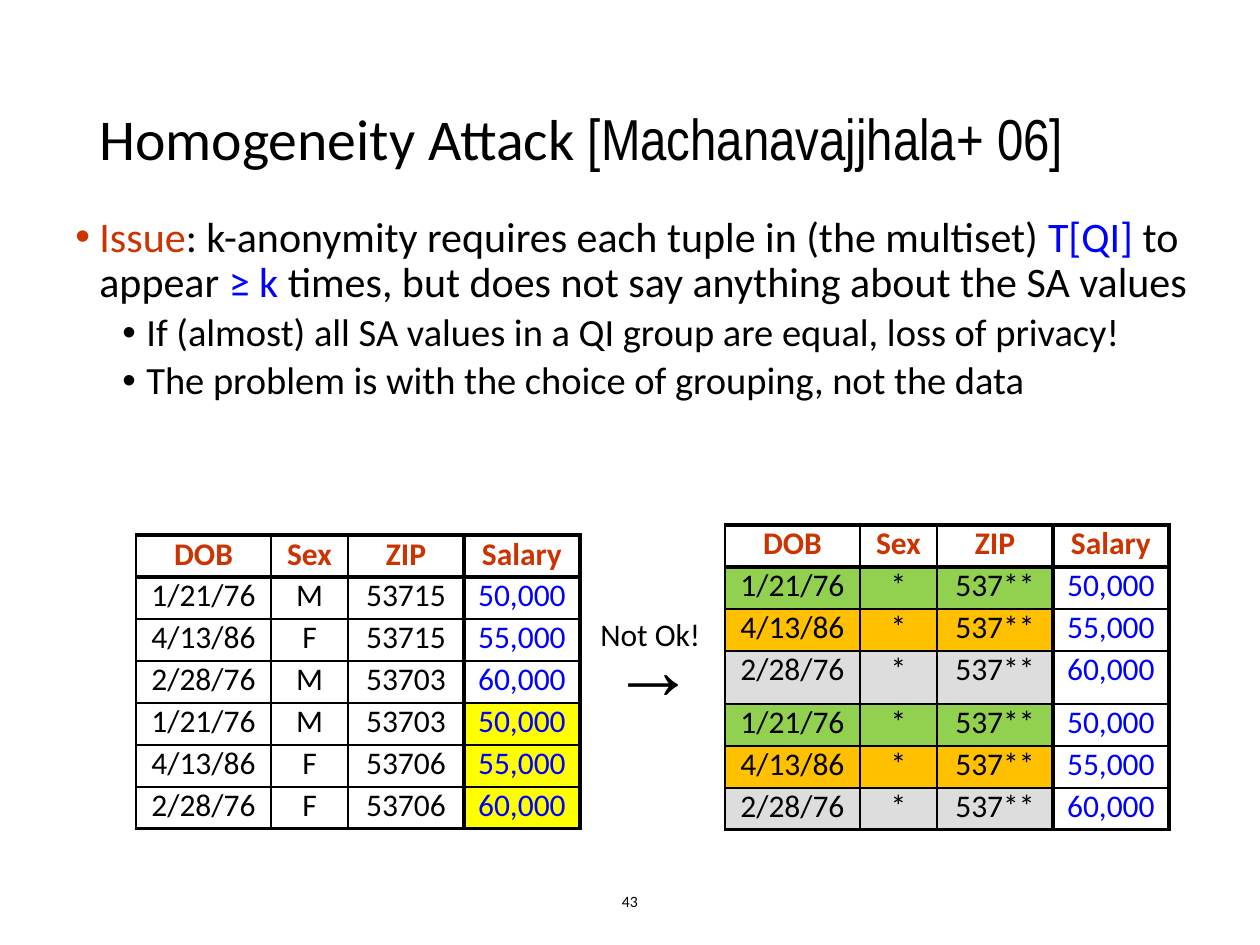
from lxml.etree import SubElement
from pptx import Presentation
from pptx.dml.color import RGBColor
from pptx.enum.text import MSO_ANCHOR as ANCHOR, MSO_AUTO_SIZE as AUTO, PP_ALIGN as ALIGN
from pptx.oxml.ns import qn
from pptx.util import Emu, Pt

C = {"black": "000000", "red": "CC3300", "blue": "0000FF", "yellow": "FFFF00",
     "green": "92D050", "orange": "FFC000", "gray": "DDDDDD"}
COLS = [135, 77, 116, 116]
ROW_H = 42
V_LINES = [1, 1, 1, 3, 2.25]
H_LINES = [2.25, 3, 1, 1, 1, 1, 1, 2.25]
HEADER = ["DOB", "Sex", "ZIP", "Salary"]
DATES = ["1/21/76", "4/13/86", "2/28/76"] * 2
SALARIES = ["50,000", "55,000", "60,000"] * 2
SEXES = ["M", "F", "M", "M", "F", "F"]
ZIPS = ["53715", "53715", "53703", "53703", "53706", "53706"]


def px(n):
    return Emu(round(n * 914400 / 126))


def add_run(p, text, size, color="black", font="Calibri", bold=False):
    r = p.add_run()
    r.text = text
    r.font.size = Pt(size)
    r.font.name = font
    r.font.bold = bold
    r.font.color.rgb = RGBColor.from_string(C[color])


def add_text_frame(s, box, wrap=True, anchor=ANCHOR.TOP):
    tf = s.shapes.add_textbox(*map(px, box)).text_frame
    tf.word_wrap = wrap
    tf.auto_size = AUTO.NONE if wrap else AUTO.SHAPE_TO_FIT_TEXT
    tf.vertical_anchor = anchor
    return tf


def add_title(s, box):
    p = add_text_frame(s, box, anchor=ANCHOR.MIDDLE).paragraphs[0]
    p.line_spacing = 0.9
    add_run(p, "Homogeneity Attack ", 33)
    add_run(p, "[Machanavajjhala+ 06]", 33, font="Arial Narrow")


def add_bullet(p, level, indent):
    p.level = level
    p.line_spacing = 0.9
    pPr = p._p.get_or_add_pPr()
    pPr.set("marL", str(px(indent)))
    pPr.set("indent", str(px(-24)))
    SubElement(pPr, qn("a:buFont"), typeface="Arial")
    SubElement(pPr, qn("a:buChar"), char="•")


def add_body(s, box):
    tf = add_text_frame(s, box)
    p = tf.paragraphs[0]
    add_bullet(p, 0, 24)
    for text, color in [
        ("Issue", "red"),
        (": k-anonymity requires each tuple in (the multiset) ", "black"),
        ("T[QI]", "blue"),
        (" to appear ", "black"),
        ("≥ k", "blue"),
        (" times, but does not say anything about the SA values", "black"),
    ]:
        add_run(p, text, 24, color)
    for text in ["If (almost) all SA values in a QI group are equal, loss of privacy!",
                 "The problem is with the choice of grouping, not the data"]:
        p = tf.add_paragraph()
        add_bullet(p, 1, 71)
        p.space_before = Pt(3.8)
        add_run(p, text, 22)


def set_borders(cell, row, col):
    tcPr = cell._tc.get_or_add_tcPr()
    widths = {"L": V_LINES[col], "R": V_LINES[col + 1],
              "T": H_LINES[row], "B": H_LINES[row + 1]}
    for side, width in widths.items():
        ln = SubElement(tcPr, qn(f"a:ln{side}"), w=str(Pt(width)))
        SubElement(SubElement(ln, qn("a:solidFill")), qn("a:srgbClr"), val=C["black"])


def set_fill(cell, color):
    if color:
        cell.fill.solid()
        cell.fill.fore_color.rgb = RGBColor.from_string(C[color])
    else:
        cell.fill.background()


def add_data_table(s, left, top, sexes, zips, fills, heights):
    rows = [HEADER, *zip(DATES, sexes, zips, SALARIES)]
    table = s.shapes.add_table(len(rows), len(COLS), px(left), px(top),
                               px(sum(COLS)), px(sum(heights))).table
    table.first_row = table.horz_banding = False
    for col, width in zip(table.columns, COLS):
        col.width = px(width)
    for i, (row, height) in enumerate(zip(rows, heights)):
        table.rows[i].height = px(height)
        for j, text in enumerate(row):
            cell = table.cell(i, j)
            cell.margin_left = cell.margin_right = px(6)
            cell.margin_top = cell.margin_bottom = 0
            set_borders(cell, i, j)
            set_fill(cell, fills.get((i, j)))
            p = cell.text_frame.paragraphs[0]
            p.alignment = ALIGN.CENTER
            color = "red" if i == 0 else "blue" if j == 3 else "black"
            add_run(p, text, 18, color, bold=i == 0)


def add_tables(s, left, top):
    heights = [ROW_H] * 7
    marked = {(i, 3): "yellow" for i in range(4, 7)}
    add_data_table(s, left, top + 10, SEXES, ZIPS, marked, heights)
    groups = {(i + 1, j): color for i, color in enumerate(["green", "orange", "gray"] * 2)
              for j in range(3)}
    heights[3] = 53
    add_data_table(s, left + 589, top, ["*"] * 6, ["537**"] * 6, groups, heights)


def add_verdict(s, left, top):
    p = add_text_frame(s, (left + 10, top, 110, 113), wrap=False).paragraphs[0]
    p.alignment = ALIGN.CENTER
    add_run(p, "→", 48, font="Arial", bold=True)
    p = add_text_frame(s, (left, top, 126, 50), wrap=False).paragraphs[0]
    add_run(p, "Not Ok!", 18)


def add_page_number(s, box):
    p = add_text_frame(s, box, anchor=ANCHOR.MIDDLE).paragraphs[0]
    p.alignment = ALIGN.CENTER
    add_run(p, "43", 9)


def main():
    prs = Presentation()
    prs.slide_width, prs.slide_height = px(1260), px(945)
    s = prs.slides.add_slide(prs.slide_layouts[6])
    add_page_number(s, (417, 876, 426, 50))
    add_title(s, (87, 50, 1086, 183))
    add_body(s, (63, 210, 1197, 262))
    add_tables(s, 136, 525)
    add_verdict(s, 588, 609)
    prs.save("out.pptx")


if __name__ == "__main__":
    main()
